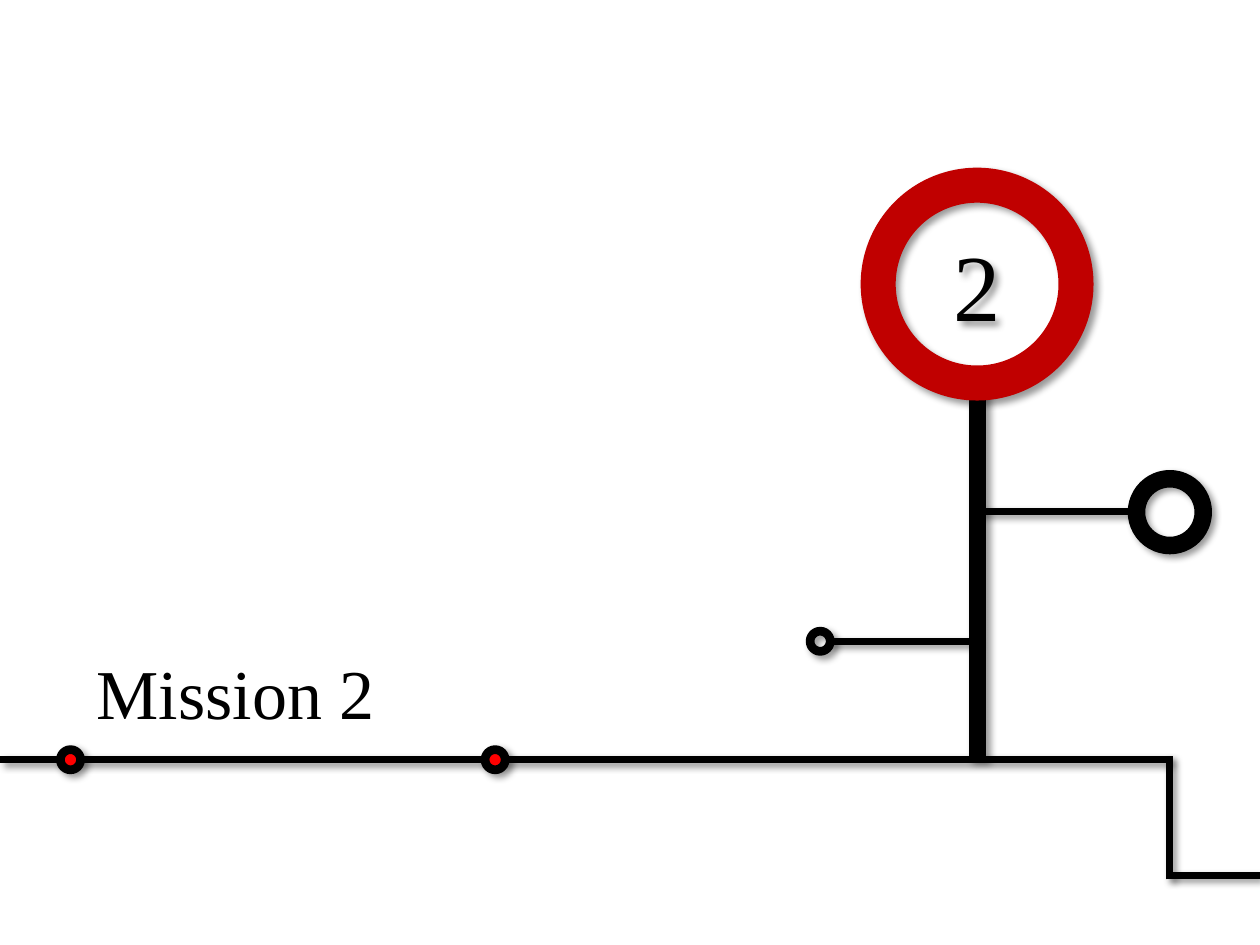
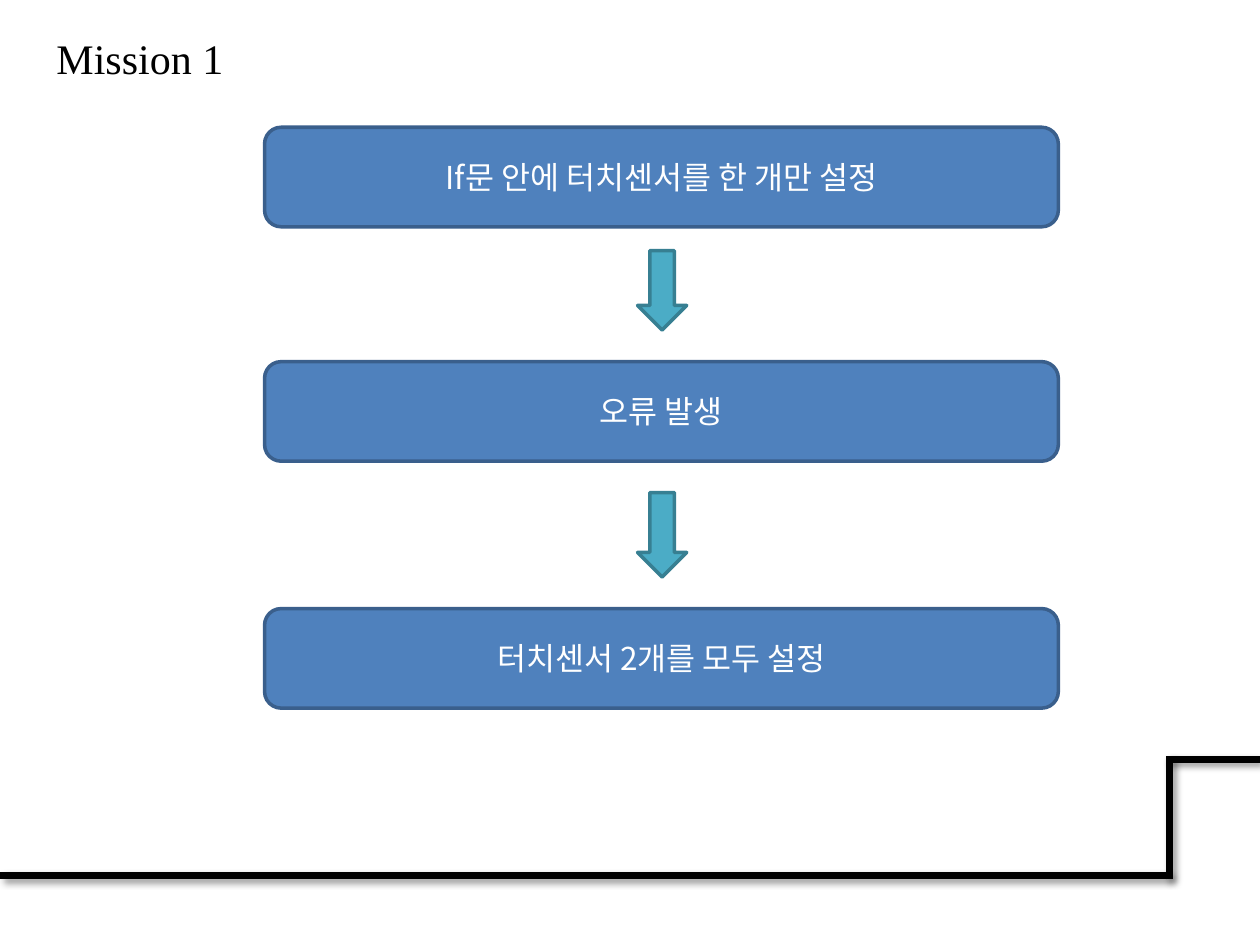
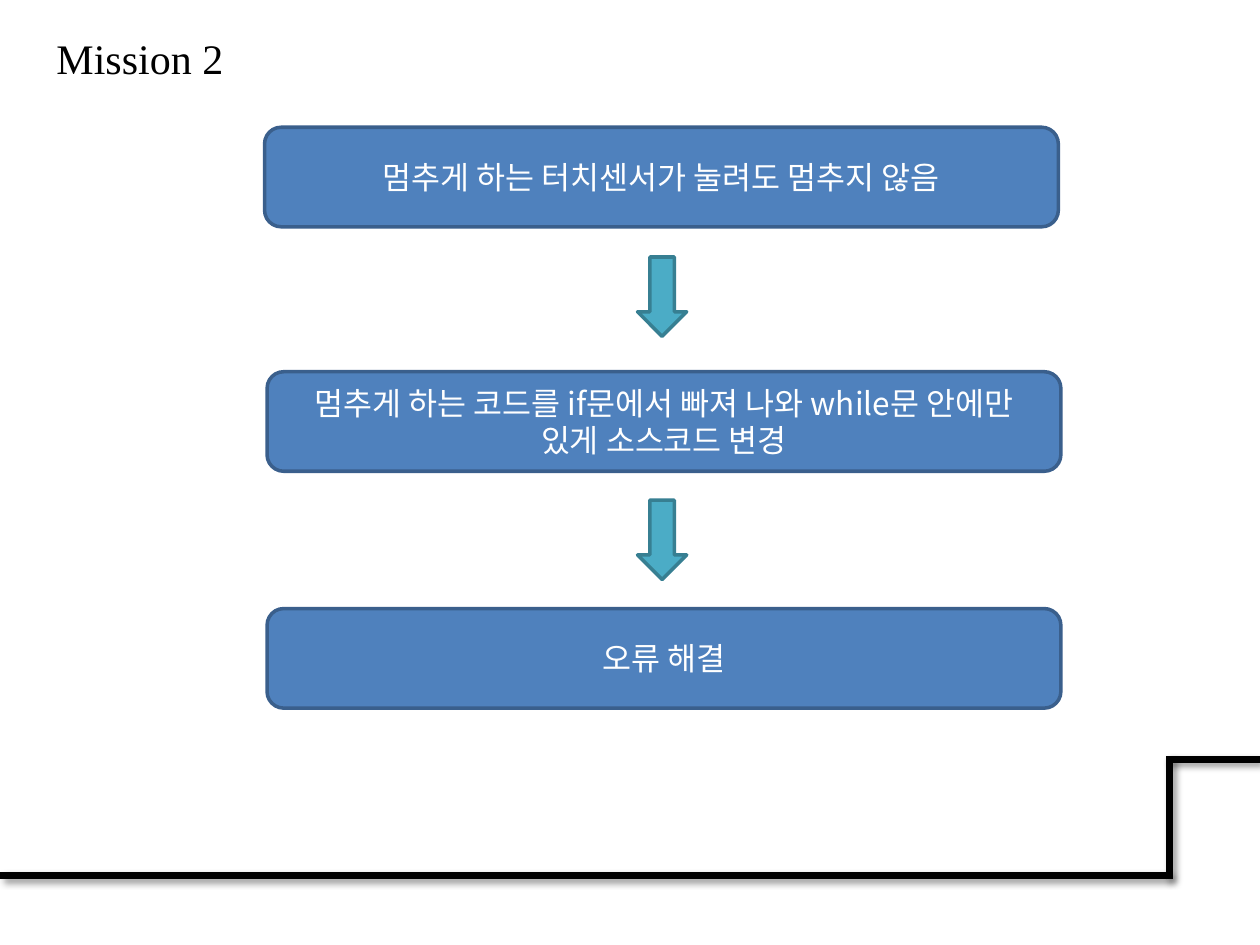
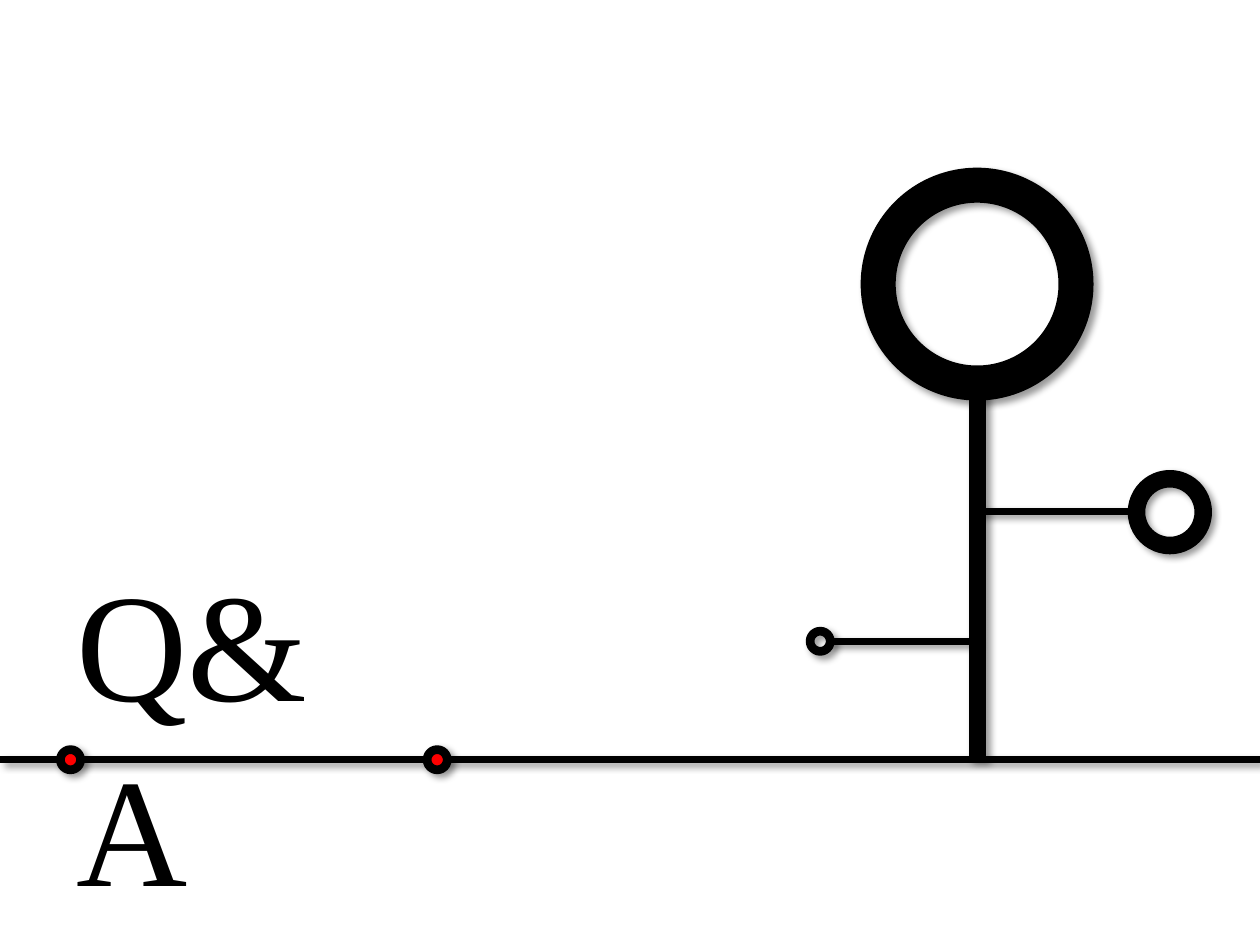
"""Build four slides of a mission report with track lines, sign posts and step flows."""

from dataclasses import dataclass
from typing import Optional

import pptx
import pptx.dml.color
import pptx.enum.shapes
import pptx.enum.text
import pptx.oxml
import pptx.oxml.ns
import pptx.util
from lxml import etree

RGB = pptx.dml.color.RGBColor
Kind = pptx.enum.shapes.MSO_SHAPE

BLACK = RGB(0x00, 0x00, 0x00)
WHITE = RGB(0xFF, 0xFF, 0xFF)
DOT_RED = RGB(0xFF, 0x00, 0x00)
SIGN_RED = RGB(0xC0, 0x00, 0x00)
STEP_FILL = RGB(0x4F, 0x81, 0xBD)
STEP_EDGE = RGB(0x3A, 0x5F, 0x8C)
ARROW_FILL = RGB(0x4B, 0xAC, 0xC6)
ARROW_EDGE = RGB(0x37, 0x7F, 0x92)

SERIF = "Times New Roman"
SANS = "Noto Sans CJK KR"

COLUMNS = 10
ROWS = 7.5
SLIDE_WIDTH = pptx.util.Inches(10)
SLIDE_HEIGHT = pptx.util.Inches(7.5)

UPPER_TRACK = 6.03
LOWER_TRACK = 6.95
BEND = 9.28
POST = 7.76
TRACK_WEIGHT = 4
POST_WEIGHT = 10
DOT_SIZE = 0.16
STEP_WIDTH = 6.3
STEP_HEIGHT = 0.79
ARROW_LEFT = 5.06
ARROW_WIDTH = 0.39


@dataclass(frozen=True)
class Area:
    """Place on the grid, in columns and rows."""

    left: float
    top: float
    width: float
    height: float


@dataclass(frozen=True)
class Stroke:
    """Straight line between two grid points."""

    start: tuple[float, float]
    end: tuple[float, float]
    weight: float = TRACK_WEIGHT


@dataclass(frozen=True)
class Ring:
    """Circle given by its corner and diameter."""

    left: float
    top: float
    size: float
    weight: float
    edge: RGB = BLACK
    fill: Optional[RGB] = None


@dataclass(frozen=True)
class Step:
    """Box of a flow."""

    text: str
    top: float
    left: float = 2.1


@dataclass(frozen=True)
class Arrow:
    """Arrow between two steps."""

    top: float
    height: float = 0.63


@dataclass(frozen=True)
class Flow:
    """Content of a flow slide."""

    title: str
    steps: tuple[Step, ...]
    arrows: tuple[Arrow, ...]


BEND_STROKE = Stroke((BEND, 6.98), (BEND, 6))
FLOW_TRACK = (
    Stroke((BEND - 0.02, UPPER_TRACK), (COLUMNS, UPPER_TRACK)),
    BEND_STROKE,
    Stroke((0, LOWER_TRACK), (BEND, LOWER_TRACK)),
)
BRANCHES = (
    Stroke((6.57, 5.09), (POST, 5.09)),
    Stroke((POST, 4.06), (9.02, 4.06)),
)
BRANCH_RINGS = (Ring(9.02, 3.8, 0.53, 10), Ring(6.43, 5.01, DOT_SIZE, 5))

FLOWS = (
    Flow(
        "Mission 1",
        (
            Step("If문 안에 터치센서를 한 개만 설정", 1.01),
            Step("오류 발생", 2.87),
            Step("터치센서 2개를 모두 설정", 4.83),
        ),
        (Arrow(1.99), Arrow(3.91, 0.67)),
    ),
    Flow(
        "Mission 2",
        (
            Step("멈추게 하는 터치센서가 눌려도 멈추지 않음", 1.01),
            Step("멈추게 하는 코드를 if문에서 빠져 나와 while문 안에만 있게 소스코드 변경", 2.95, 2.12),
            Step("오류 해결", 4.83, 2.12),
        ),
        (Arrow(2.04), Arrow(3.97)),
    ),
)


def across(columns: float) -> int:
    """Turn columns into a length."""
    return round(SLIDE_WIDTH * columns / COLUMNS)


def down(rows: float) -> int:
    """Turn rows into a length."""
    return round(SLIDE_HEIGHT * rows / ROWS)


def place(area: Area) -> tuple[int, int, int, int]:
    """Turn a grid area into left, top, width and height."""
    return across(area.left), down(area.top), across(area.width), down(area.height)


def add_shadow(item) -> None:
    """Give a shape or connector the soft shadow of the track."""
    properties = item.element.spPr
    for effects in properties.findall(pptx.oxml.ns.qn("a:effectLst")):
        properties.remove(effects)
    effects = etree.SubElement(properties, pptx.oxml.ns.qn("a:effectLst"))
    effects.append(pptx.oxml.parse_xml(
        f'<a:outerShdw {pptx.oxml.ns.nsdecls("a")} blurRad="{pptx.util.Pt(4)}" '
        f'dist="{pptx.util.Pt(3)}" dir="2700000" algn="tl" rotWithShape="0">'
        f'<a:srgbClr val="{BLACK}"><a:alpha val="40000"/></a:srgbClr></a:outerShdw>'
    ))


def write(frame, text: str, size: float, font: str, color: RGB) -> None:
    """Write one run into the first paragraph."""
    span = frame.paragraphs[0].add_run()
    span.text = text
    span.font.size = pptx.util.Pt(size)
    span.font.name = font
    span.font.color.rgb = color
    east_asian = etree.SubElement(span.font._element, pptx.oxml.ns.qn("a:ea"))
    east_asian.set("typeface", font)


def write_centred(shape, text: str, size: float, font: str, color: RGB) -> None:
    """Write one run in the middle of a shape."""
    frame = shape.text_frame
    frame.word_wrap = True
    frame.vertical_anchor = pptx.enum.text.MSO_ANCHOR.MIDDLE
    frame.paragraphs[0].alignment = pptx.enum.text.PP_ALIGN.CENTER
    write(frame, text, size, font, color)


def add_label(page, area: Area, text: str, size: float, wrap: bool = False) -> None:
    """Add a serif text box."""
    box = page.shapes.add_textbox(*place(area))
    box.text_frame.word_wrap = wrap
    box.text_frame.auto_size = pptx.enum.text.MSO_AUTO_SIZE.SHAPE_TO_FIT_TEXT
    write(box.text_frame, text, size, SERIF, BLACK)


def add_form(page, kind, area: Area, fill: Optional[RGB], edge: RGB, weight: float):
    """Add a preset shape with its fill and outline."""
    shape = page.shapes.add_shape(kind, *place(area))
    shape.shadow.inherit = False
    if fill is None:
        shape.fill.background()
    else:
        shape.fill.solid()
        shape.fill.fore_color.rgb = fill
    shape.line.color.rgb = edge
    shape.line.width = pptx.util.Pt(weight)
    return shape


def add_stroke(page, stroke: Stroke) -> None:
    """Add a shadowed line."""
    (left, top), (right, bottom) = stroke.start, stroke.end
    connector = page.shapes.add_connector(
        pptx.enum.shapes.MSO_CONNECTOR.STRAIGHT,
        across(left), down(top), across(right), down(bottom),
    )
    connector.line.color.rgb = BLACK
    connector.line.width = pptx.util.Pt(stroke.weight)
    add_shadow(connector)


def add_ring(page, ring: Ring):
    """Add a shadowed circle."""
    area = Area(ring.left, ring.top, ring.size, ring.size)
    shape = add_form(page, Kind.OVAL, area, ring.fill, ring.edge, ring.weight)
    add_shadow(shape)
    return shape


def add_sign_post(page, track_end: float, sign_color: RGB, number: str = "") -> None:
    """Add the upper track with the post, its sign and its branches."""
    add_stroke(page, Stroke((0, UPPER_TRACK), (track_end, UPPER_TRACK)))
    add_stroke(page, Stroke((POST, 3.04), (POST, UPPER_TRACK), POST_WEIGHT))
    sign = add_ring(page, Ring(6.97, 1.47, 1.57, 20, sign_color))
    if number:
        write_centred(sign, number, 54, SERIF, BLACK)
    for branch in BRANCHES:
        add_stroke(page, branch)
    for ring in BRANCH_RINGS:
        add_ring(page, ring)


def add_stops(page, last: float) -> None:
    """Add the two red stops on the upper track."""
    for left in (0.48, last):
        add_ring(page, Ring(left, 5.95, DOT_SIZE, 5, fill=DOT_RED))


def fill_mission_page(page) -> None:
    """Draw the opening slide of the second mission."""
    add_sign_post(page, BEND, SIGN_RED, "2")
    add_label(page, Area(0.67, 5.11, 2.43, 0.77), "Mission 2", 40)
    add_stroke(page, BEND_STROKE)
    add_stroke(page, Stroke((BEND, LOWER_TRACK), (COLUMNS, LOWER_TRACK)))
    add_stops(page, 3.85)


def fill_flow_page(page, flow: Flow) -> None:
    """Draw a title, the steps of a flow and the arrows between them."""
    for stroke in FLOW_TRACK:
        add_stroke(page, stroke)
    add_label(page, Area(0.35, 0.21, 1.54, 0.5), flow.title, 24)
    for step in flow.steps:
        area = Area(step.left, step.top, STEP_WIDTH, STEP_HEIGHT)
        box = add_form(page, Kind.FLOWCHART_ALTERNATE_PROCESS, area, STEP_FILL, STEP_EDGE, 2)
        write_centred(box, step.text, 18, SANS, WHITE)
    for arrow in flow.arrows:
        area = Area(ARROW_LEFT, arrow.top, ARROW_WIDTH, arrow.height)
        add_form(page, Kind.DOWN_ARROW, area, ARROW_FILL, ARROW_EDGE, 2)


def fill_question_page(page) -> None:
    """Draw the closing slide."""
    add_sign_post(page, COLUMNS, BLACK)
    add_label(page, Area(0.51, 4.3, 2.88, 1.58), "Q&A", 88, wrap=True)
    add_stops(page, 3.39)


def main() -> None:
    """Build and save the deck."""
    deck = pptx.Presentation()
    deck.slide_width = SLIDE_WIDTH
    deck.slide_height = SLIDE_HEIGHT
    blank = deck.slide_layouts[6]
    fill_mission_page(deck.slides.add_slide(blank))
    for flow in FLOWS:
        fill_flow_page(deck.slides.add_slide(blank), flow)
    fill_question_page(deck.slides.add_slide(blank))
    deck.save("out.pptx")


if __name__ == "__main__":
    main()
